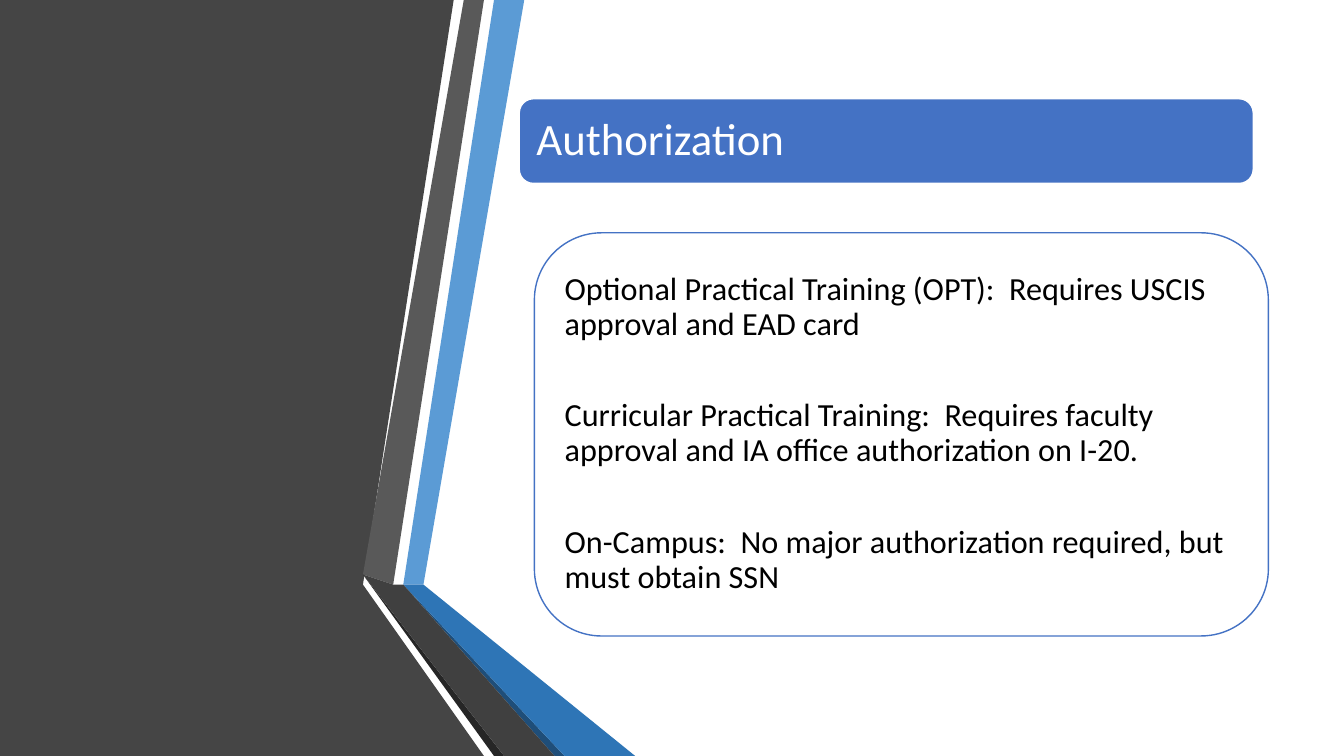
from pptx import Presentation
from pptx.dml.color import RGBColor
from pptx.enum import shapes, text
from pptx import util as u
from lxml import etree

WHITE = RGBColor(0xFF, 0xFF, 0xFF)
BLACK = RGBColor(0, 0, 0)
PANEL = RGBColor(0x45, 0x45, 0x45)
GREY = RGBColor(0x59, 0x59, 0x59)
DARK = RGBColor(0x40, 0x40, 0x40)
SHADE = RGBColor(0x26, 0x26, 0x26)
SKY = RGBColor(0x5B, 0x9B, 0xD5)
BLUE = RGBColor(0x2E, 0x75, 0xB6)
NAVY = RGBColor(0x1F, 0x4E, 0x79)
ROYAL = RGBColor(0x44, 0x72, 0xC4)

COLS, ROWS = 133.3, 75
CELL = u.Inches(0.1)
FONT = "Calibri"

BANDS = [
    (PANEL, [(0, 0), (44.9, 0), (35.6, 57.5), (35.6, 57.6), (48.2, ROWS), (0, ROWS)]),
    (SKY, [(39.6, 57.8), (42.3, 58.3), (51.9, 0), (49.1, 0)]),
    (GREY, [(48.5, 0), (45.7, 0), (36.3, 57.3), (39, 57.7)]),
    (SHADE, [(36.3, 57.3), (49.1, ROWS), (49.7, ROWS)]),
    (NAVY, [(39.6, 57.9), (55.4, ROWS), (56, ROWS)]),
    (BLUE, [(39.6, 57.9), (56, ROWS), (62.9, ROWS), (42.3, 58.3), (39.6, 57.8)]),
    (DARK, [(54.8, ROWS), (39.5, 58.3), (39, 57.7), (36.3, 57.3), (49.7, ROWS)]),
]

RULES = [
    "Optional Practical Training (OPT):  Requires USCIS approval and EAD card",
    "Curricular Practical Training:  Requires faculty approval and IA office authorization on I-20.",
    "On-Campus:  No major authorization required, but must obtain SSN",
]


class Deck:
    def __init__(self):
        self.prs = Presentation()
        self.prs.slide_width = int(COLS * CELL)
        self.prs.slide_height = ROWS * CELL
        self.slide = self.prs.slides.add_slide(self.prs.slide_layouts[1])
        self.tree = self.slide.shapes

    def span(self, *cells):
        return [int(n * CELL) for n in cells]

    def paint(self, shape, fill, line=None):
        shape.shadow.inherit = False
        shape.fill.solid()
        shape.fill.fore_color.rgb = fill
        if line is None:
            shape.line.fill.background()
        else:
            shape.line.color.rgb = line
            shape.line.width = u.Pt(1)

    def band(self, fill, points):
        path = self.tree.build_freeform(*points[0], scale=CELL)
        path.add_line_segments(points[1:], close=True)
        self.paint(path.convert_to_shape(), fill)

    def box(self, area, fill, line):
        kind = shapes.MSO_SHAPE.ROUNDED_RECTANGLE
        self.paint(self.tree.add_shape(kind, *self.span(*area)), fill, line)

    def words(self, holder, area, lines, size, color, inset, gap=0):
        holder.left, holder.top, holder.width, holder.height = self.span(*area)
        self.tree.element.append(holder.element)
        frame = holder.text_frame
        frame.text = "\n".join(lines)
        frame.word_wrap = True
        frame.auto_size = text.MSO_AUTO_SIZE.NONE
        frame.vertical_anchor = text.MSO_ANCHOR.MIDDLE
        frame.margin_left = frame.margin_right = u.Inches(inset)
        frame.margin_top = frame.margin_bottom = u.Inches(inset)
        for i, para in enumerate(frame.paragraphs):
            para.alignment = text.PP_ALIGN.LEFT
            para.line_spacing = 0.9
            para.space_before = u.Pt(gap if i else 0)
            para.space_after = u.Pt(0)
            para.font.name = FONT
            para.font.size = u.Pt(size)
            para.font.color.rgb = color
            self.plain(para)

    def plain(self, para):
        props = para._p.get_or_add_pPr()
        props.set("marL", "0")
        props.set("indent", "0")
        space = props.nsmap["a"]
        mark = etree.Element(f"{{{space}}}buNone")
        props.find(f"{{{space}}}defRPr").addprevious(mark)


def main():
    deck = Deck()
    for fill, points in BANDS:
        deck.band(fill, points)
    title, body = deck.slide.placeholders
    deck.box((53, 23.1, 72.8, 40), WHITE, ROYAL)
    deck.words(body, (55, 25, 68.8, 36.1), RULES, 23, BLACK, 0.1, 40.6)
    deck.box((51.5, 9.8, 72.8, 8.4), ROYAL, WHITE)
    deck.words(title, (51.9, 10.2, 71.9, 7.6), ["Authorization"], 32, WHITE, 0.13)
    deck.prs.save("out.pptx")


if __name__ == "__main__":
    main()
